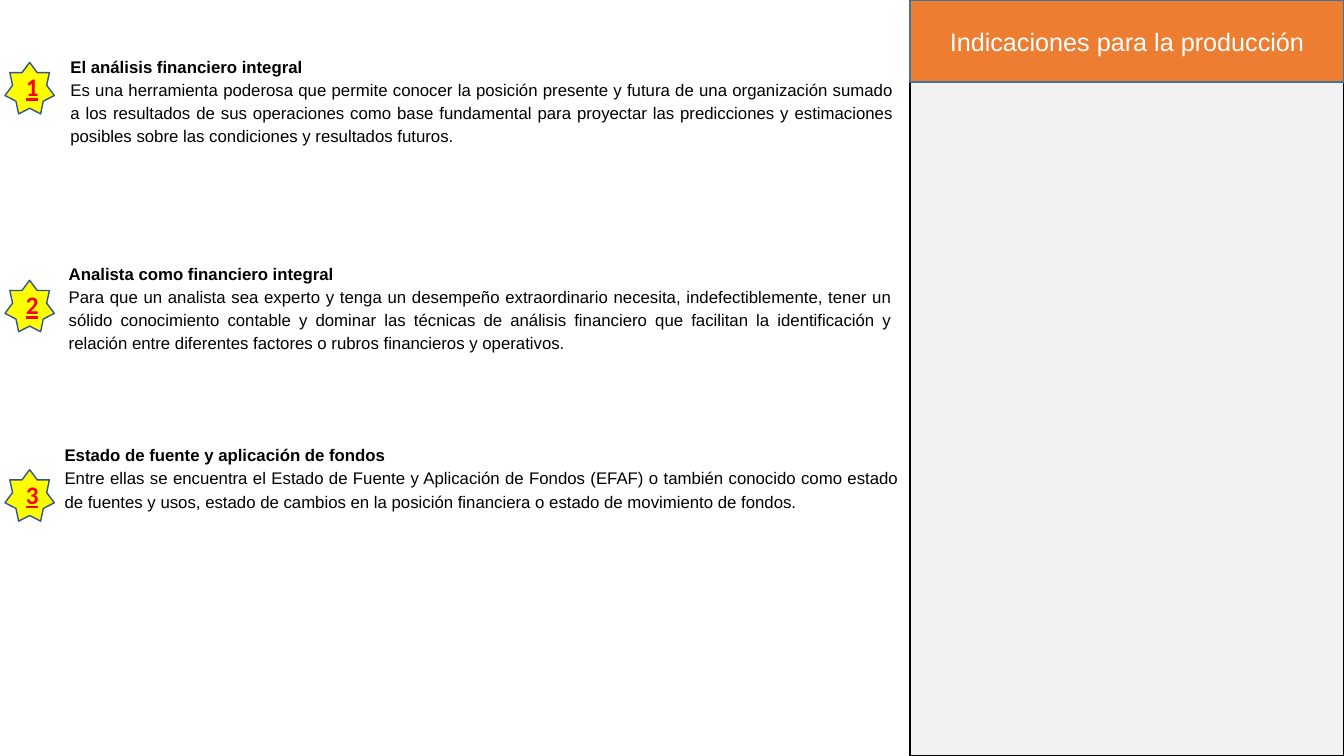
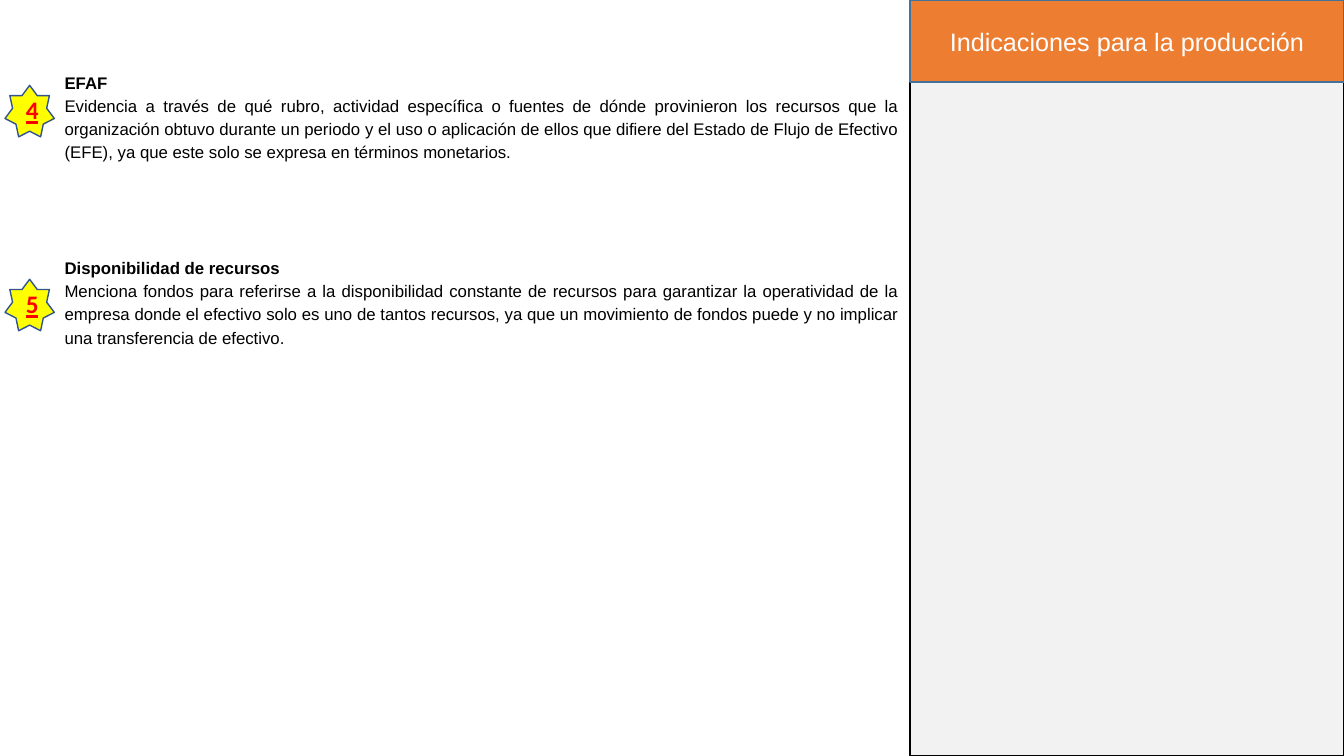
from dataclasses import dataclass

from pptx import Presentation
from pptx import util as u
from pptx.dml.color import RGBColor
from pptx.enum import shapes, text

COLORS = {
    "panel": "F2F2F2", "panel_line": "000000",
    "band": "ED7D31", "band_line": "42719B", "band_text": "FFFFFF",
    "star": "FFFF00", "star_line": "31538F", "star_text": "FF0000",
    "body": "000000",
}
SLIDE_W, SLIDE_H = 960, 540
PANEL_LEFT, BAND_HEIGHT = 650, 58.5
STAR_LEFT, STAR_W, STAR_H = 3.6, 35.2, 36.8
BAND_TITLE = "Indicaciones para la producción"

BAND_FONT = {"name": "Arial", "size": u.Pt(18), "bold": False}
STAR_FONT = {"name": "Calibri", "size": u.Pt(18), "bold": True, "underline": True}
HEADING_FONT = {"name": "Arial", "size": u.Pt(12), "bold": True}
BODY_FONT = {**HEADING_FONT, "bold": False}
CENTERED = {"alignment": text.PP_ALIGN.CENTER}
JUSTIFIED = {"alignment": text.PP_ALIGN.JUSTIFY, "line_spacing": 1.15}
INSETS = {"margin_left": u.Pt(7.2), "margin_right": u.Pt(7.2),
          "margin_top": u.Pt(3.6), "margin_bottom": u.Pt(3.6), "word_wrap": True}
MIDDLE = {**INSETS, "vertical_anchor": text.MSO_ANCHOR.MIDDLE,
          "auto_size": text.MSO_AUTO_SIZE.NONE}
GROWING = {**INSETS, "auto_size": text.MSO_AUTO_SIZE.SHAPE_TO_FIT_TEXT}


@dataclass(frozen=True)
class Concept:
    """A numbered concept: star position, text box and wording, in points."""
    star_top: float
    left: float
    top: float
    width: float
    height: float
    heading: str
    body: str


SLIDES = [
    [
        Concept(44.6, 43.2, 34.6, 602.6, 74.2, "El análisis financiero integral",
                "Es una herramienta poderosa que permite conocer la posición presente y "
                "futura de una organización sumado a los resultados de sus operaciones "
                "como base fundamental para proyectar las predicciones y estimaciones "
                "posibles sobre las condiciones y resultados futuros."),
        Concept(200.2, 42, 182.4, 602.6, 74.2, "Analista como financiero integral",
                "Para que un analista sea experto y tenga un desempeño extraordinario "
                "necesita, indefectiblemente, tener un sólido conocimiento contable y "
                "dominar las técnicas de análisis financiero que facilitan la "
                "identificación y relación entre diferentes factores o rubros "
                "financieros y operativos."),
        Concept(335.5, 39, 312.2, 610.6, 57.6, "Estado de fuente y aplicación de fondos",
                "Entre ellas se encuentra el Estado de Fuente y Aplicación de Fondos "
                "(EFAF) o también conocido como estado de fuentes y usos, estado de "
                "cambios en la posición financiera o estado de movimiento de fondos."),
    ],
    [
        Concept(61, 39, 46, 610.6, 72, "EFAF",
                "Evidencia a través de qué rubro, actividad específica o fuentes de "
                "dónde provinieron los recursos que la organización obtuvo durante un "
                "periodo y el uso o aplicación de ellos que difiere del Estado de Flujo "
                "de Efectivo (EFE), ya que este solo se expresa en términos monetarios."),
        Concept(199.5, 39, 178.4, 610.6, 74.2, "Disponibilidad de recursos",
                "Menciona fondos para referirse a la disponibilidad constante de "
                "recursos para garantizar la operatividad de la empresa donde el "
                "efectivo solo es uno de tantos recursos, ya que un movimiento de "
                "fondos puede y no implicar una transferencia de efectivo."),
    ],
]


def apply(target, values: dict) -> None:
    for attribute, value in values.items():
        setattr(target, attribute, value)


def rgb(key: str) -> RGBColor:
    return RGBColor.from_string(COLORS[key])


def paint(shape, part: str) -> None:
    """Fill and outline a shape in the colours of its part."""
    shape.fill.solid()
    shape.fill.fore_color.rgb = rgb(part)
    shape.line.color.rgb = rgb(f"{part}_line")
    shape.line.width = u.Pt(1)


def write(paragraph, words: str, font: dict, color: str, layout: dict) -> None:
    run = paragraph.add_run()
    run.text = words
    apply(run.font, font)
    run.font.color.rgb = rgb(color)
    apply(paragraph, layout)


def add_preset(slide, preset, part: str, *box: float):
    shape = slide.shapes.add_shape(preset, *map(u.Pt, box))
    shape.shadow.inherit = False
    paint(shape, part)
    return shape


def add_side_panel(slide) -> None:
    """Grey panel on the right, with the slide title as its orange band."""
    width = SLIDE_W - PANEL_LEFT
    panel = add_preset(slide, shapes.MSO_SHAPE.RECTANGLE, "panel",
                       PANEL_LEFT, 0, width, SLIDE_H)
    band = slide.shapes.title
    apply(band, {"left": u.Pt(PANEL_LEFT), "top": u.Pt(0),
                 "width": u.Pt(width), "height": u.Pt(BAND_HEIGHT)})
    paint(band, "band")
    apply(band.text_frame, MIDDLE)
    write(band.text_frame.paragraphs[0], BAND_TITLE, BAND_FONT, "band_text", CENTERED)
    band.element.addprevious(panel.element)  # the band lies over the panel


def add_concept(slide, number: int, concept: Concept) -> None:
    star = add_preset(slide, shapes.MSO_SHAPE.STAR_7_POINT, "star",
                      STAR_LEFT, concept.star_top, STAR_W, STAR_H)
    apply(star.text_frame, MIDDLE)
    write(star.text_frame.paragraphs[0], str(number), STAR_FONT, "star_text", CENTERED)

    box = (concept.left, concept.top, concept.width, concept.height)
    frame = slide.shapes.add_textbox(*map(u.Pt, box)).text_frame
    apply(frame, GROWING)
    write(frame.paragraphs[0], concept.heading, HEADING_FONT, "body", JUSTIFIED)
    write(frame.add_paragraph(), concept.body, BODY_FONT, "body", JUSTIFIED)


def main() -> None:
    deck = Presentation()
    deck.slide_width, deck.slide_height = u.Pt(SLIDE_W), u.Pt(SLIDE_H)
    title_only = deck.slide_layouts[5]
    number = 0
    for concepts in SLIDES:
        slide = deck.slides.add_slide(title_only)
        add_side_panel(slide)
        for number, concept in enumerate(concepts, number + 1):
            add_concept(slide, number, concept)
    deck.save("out.pptx")


if __name__ == "__main__":
    main()
